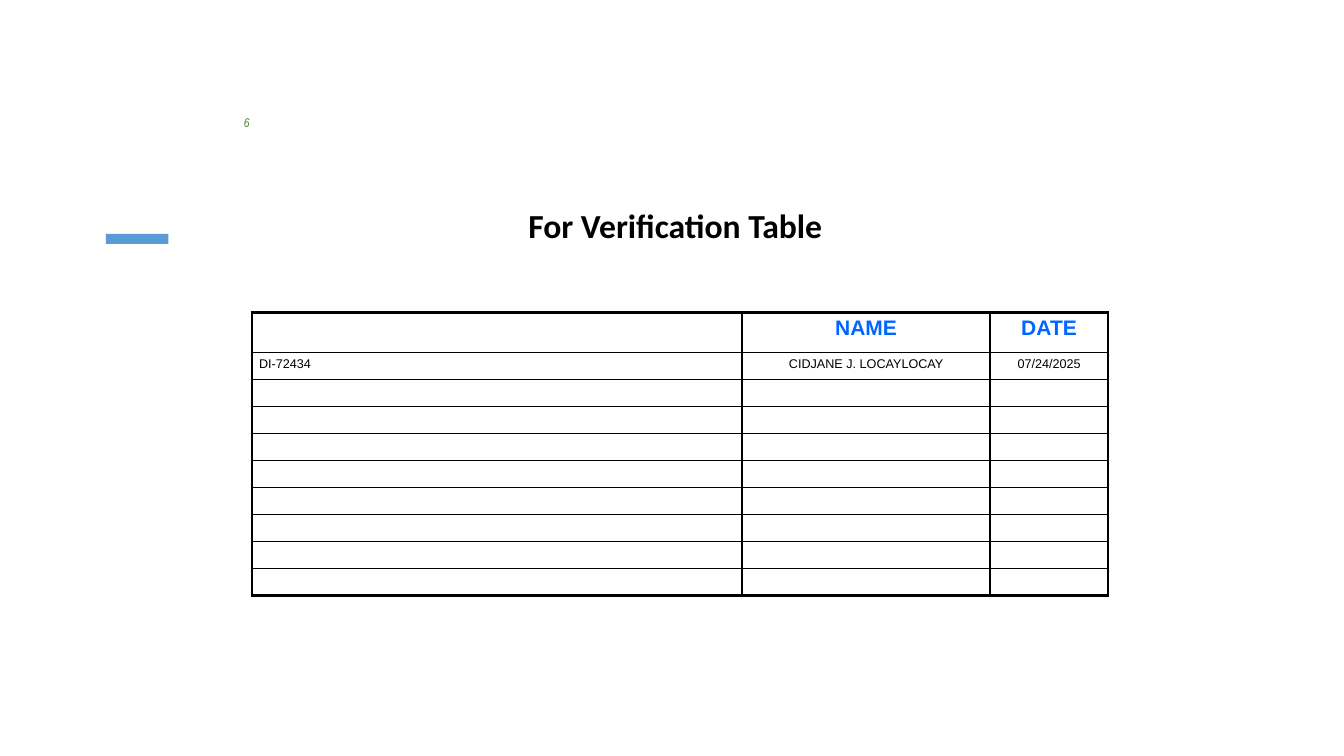
from dataclasses import dataclass

from lxml.etree import SubElement
from pptx import Presentation
from pptx.dml.color import RGBColor
from pptx.enum.shapes import MSO_SHAPE
from pptx.enum.text import MSO_ANCHOR, PP_ALIGN
from pptx.oxml import parse_xml
from pptx.oxml.ns import nsdecls, qn
from pptx.util import Inches, Pt

TITLE = "For Verification Table"
PAGE_NUMBER = "6"
HEADINGS = ("", "NAME", "DATE")
ENTRIES = [("DI-72434", "CIDJANE J. LOCAYLOCAY", "07/24/2025")]
ENTRY_ROWS = 9

SLIDE_SIZE = (13.33, 7.5)
BAR_BOX = (1.05, 2.32, 0.62, 0.1)
NUMBER_BOX = (2.35, 1.05, 0.36, 0.34)
TITLE_BOX = (5.17, 2.07, 3.92, 0.43)
TABLE_ORIGIN = (2.5, 3.1)
COLUMN_WIDTHS = (4.86, 2.46, 1.17)
HEADING_HEIGHT, ENTRY_HEIGHT = 0.4, 0.268
INSET_X, INSET_Y = Inches(0.07), Inches(0.04)


@dataclass(frozen=True)
class Theme:
    accent: str = "5B9BD5"
    number: str = "548235"
    heading: str = "0066FF"
    ink: str = "000000"
    title_font: str = "Calibri"
    number_font: str = "Arial Narrow"
    table_font: str = "Arial"
    title_size: int = 24
    heading_size: int = 15
    small_size: int = 9
    outer_line: float = 2.25
    inner_line: float = 1


THEME = Theme()


def inches(box):
    return [Inches(length) for length in box]


def style(paragraph, font_name, size, color, bold=False, italic=False):
    font = paragraph.font
    font.name, font.size, font.bold, font.italic = font_name, Pt(size), bold, italic
    font.color.rgb = RGBColor.from_string(color)


def inset(target):
    """Apply the shared text margins to a text frame or a cell."""
    target.margin_left = target.margin_right = INSET_X
    target.margin_top = target.margin_bottom = INSET_Y


def set_borders(cell, row, column, last_row, last_column):
    """Draw heavy lines on the table's edge and thin ones inside."""
    on_edge = {"lnL": column == 0, "lnR": column == last_column,
               "lnT": row == 0, "lnB": row == last_row}
    properties = cell._tc.get_or_add_tcPr()
    for position, (side, outer) in enumerate(on_edge.items()):
        width = Pt(THEME.outer_line if outer else THEME.inner_line)
        properties.insert(position, parse_xml(
            f'<a:{side} {nsdecls("a")} w="{int(width)}"><a:solidFill>'
            f'<a:srgbClr val="{THEME.ink}"/></a:solidFill></a:{side}>'))


def add_title(slide):
    title = slide.shapes.title
    title.left, title.top, title.width, title.height = inches(TITLE_BOX)
    frame = title.text_frame
    frame.text = TITLE
    frame.vertical_anchor = MSO_ANCHOR.TOP
    inset(frame)
    paragraph = frame.paragraphs[0]
    paragraph.alignment = PP_ALIGN.LEFT
    paragraph.line_spacing = 0.8
    style(paragraph, THEME.title_font, THEME.title_size, THEME.ink, bold=True)


def add_accent_bar(slide):
    bar = slide.shapes.add_shape(MSO_SHAPE.RECTANGLE, *inches(BAR_BOX))
    bar.shadow.inherit = False
    bar.fill.solid()
    bar.fill.fore_color.rgb = RGBColor.from_string(THEME.accent)
    bar.line.fill.background()


def add_page_number(slide):
    frame = slide.shapes.add_textbox(*inches(NUMBER_BOX)).text_frame
    frame.word_wrap = True
    frame.vertical_anchor = MSO_ANCHOR.MIDDLE
    inset(frame)
    frame.text = PAGE_NUMBER
    style(frame.paragraphs[0], THEME.number_font, THEME.small_size,
          THEME.number, italic=True)


def add_verification_table(slide):
    blank = ("",) * len(HEADINGS)
    rows = [HEADINGS, *ENTRIES, *[blank] * (ENTRY_ROWS - len(ENTRIES))]
    heights = [HEADING_HEIGHT] + [ENTRY_HEIGHT] * ENTRY_ROWS
    size = (sum(COLUMN_WIDTHS), sum(heights))
    table = slide.shapes.add_table(
        len(rows), len(HEADINGS), *inches(TABLE_ORIGIN + size)).table
    table.first_row = table.horz_banding = False
    for column, width in zip(table.columns, COLUMN_WIDTHS):
        column.width = Inches(width)
    for r, (entry, height) in enumerate(zip(rows, heights)):
        table.rows[r].height = Inches(height)
        for c, words in enumerate(entry):
            cell = table.cell(r, c)
            cell.fill.background()
            inset(cell)
            set_borders(cell, r, c, len(rows) - 1, len(HEADINGS) - 1)
            cell.text = words
            paragraph = cell.text_frame.paragraphs[0]
            paragraph.alignment = PP_ALIGN.CENTER if c else PP_ALIGN.LEFT
            if r == 0:
                style(paragraph, THEME.table_font, THEME.heading_size,
                      THEME.heading, bold=True)
            else:
                style(paragraph, THEME.table_font, THEME.small_size, THEME.ink)
            if not words:  # an empty cell takes its height from the end mark
                SubElement(paragraph._p, qn("a:endParaRPr"),
                           sz=str(THEME.small_size * 100))


def main():
    presentation = Presentation()
    presentation.slide_width, presentation.slide_height = inches(SLIDE_SIZE)
    slide = presentation.slides.add_slide(
        presentation.slide_layouts.get_by_name("Title Only"))
    add_title(slide)
    add_accent_bar(slide)
    add_page_number(slide)
    add_verification_table(slide)
    presentation.save("out.pptx")


if __name__ == "__main__":
    main()
